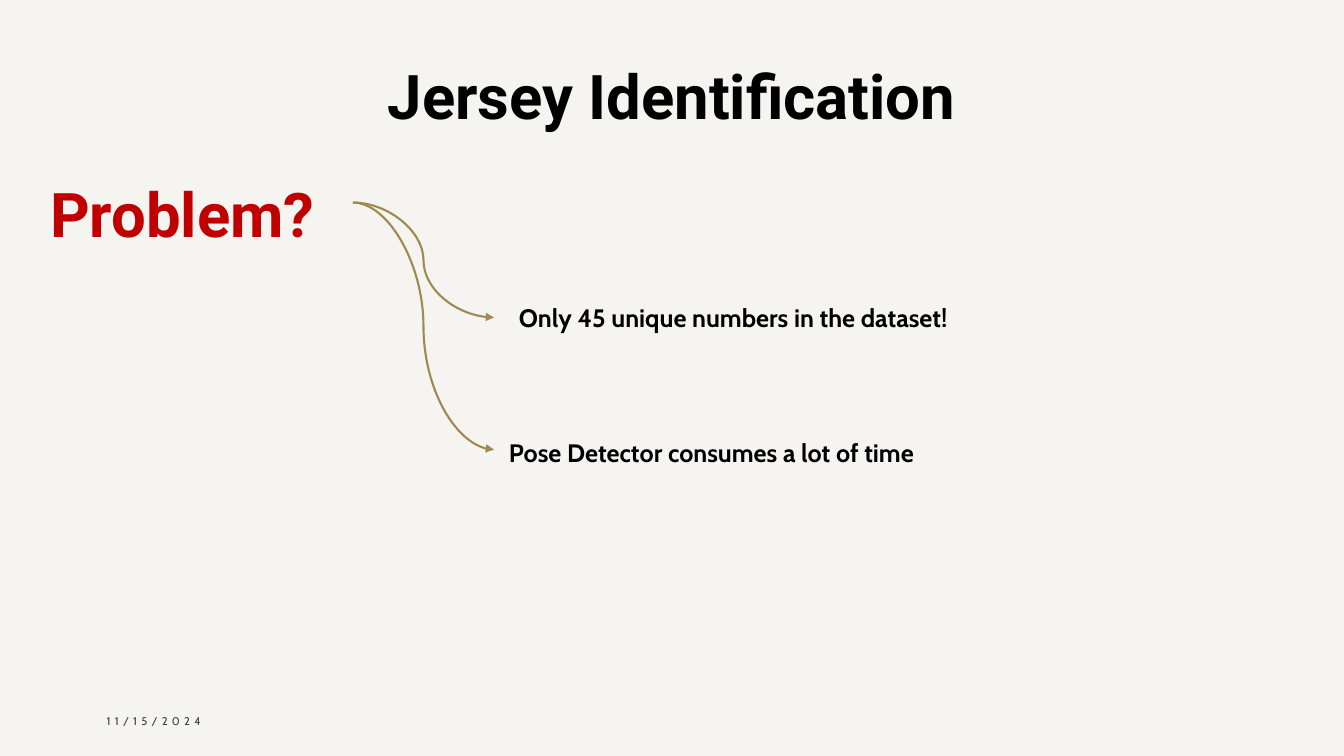
from lxml import etree
from pptx import Presentation
from pptx.dml.color import RGBColor
from pptx.enum.shapes import MSO_CONNECTOR, MSO_SHAPE
from pptx.enum.text import MSO_ANCHOR, PP_ALIGN
from pptx.oxml.ns import qn
from pptx.util import Inches, Pt

CURVE = MSO_CONNECTOR.CURVE
RECT = MSO_SHAPE.RECTANGLE
TOP, MIDDLE, BOTTOM = MSO_ANCHOR.TOP, MSO_ANCHOR.MIDDLE, MSO_ANCHOR.BOTTOM
LEFT, CENTER = PP_ALIGN.LEFT, PP_ALIGN.CENTER

WIDTH, HEIGHT = Inches(13.33), Inches(7.5)
COLS = ROWS = 100

HEAD = {"name": "Roboto", "size": Pt(44), "bold": True}
POINT = {"name": "Cabin", "size": Pt(18), "bold": True}
DATE = {"name": "Cabin", "size": Pt(8), "bold": False}


def color(code):
    return RGBColor.from_string(code)


def grid(col, row):
    return round(WIDTH * col / COLS), round(HEIGHT * row / ROWS)


def add_tint(slide, code, share):
    tint = slide.shapes.add_shape(RECT, 0, 0, WIDTH, HEIGHT)
    tint.shadow.inherit = False
    tint.line.fill.background()
    tint.fill.solid()
    tint.fill.fore_color.rgb = color(code)
    fill = tint.fill._xPr.find(qn("a:solidFill"))
    etree.SubElement(fill[0], qn("a:alpha"), val=str(share * 1000))


def add_text(slide, text, place, size, style, code, anchor=TOP, align=LEFT):
    box = slide.shapes.add_textbox(*grid(*place), *grid(*size))
    frame = box.text_frame
    frame.word_wrap = True
    frame.vertical_anchor = anchor
    para = frame.paragraphs[0]
    para.alignment = align
    run = para.add_run()
    run.text = text
    for key, value in style.items():
        setattr(run.font, key, value)
    run.font.color.rgb = color(code)
    return run


def add_curve(slide, start, end, code):
    curve = slide.shapes.add_connector(CURVE, *grid(*start), *grid(*end))
    curve.line.color.rgb = color(code)
    curve.line.width = Pt(1.5)
    etree.SubElement(curve.line._get_or_add_ln(), qn("a:tailEnd"), type="triangle")
    etree.SubElement(curve._element.spPr, qn("a:effectLst"))


def main():
    deck = Presentation()
    deck.slide_width, deck.slide_height = WIDTH, HEIGHT
    slide = deck.slides.add_slide(deck.slide_layouts[6])

    add_tint(slide, "C0B7A5", 15)
    add_text(slide, "Jersey Identification", (0, 0), (100, 18.13),
             HEAD, "000000", BOTTOM, CENTER)
    date = add_text(slide, "11/15/2024", (7.2, 92.67), (22.5, 5.33),
                    DATE, "35403A", MIDDLE)
    date.font._element.set("spc", "300")
    add_text(slide, "Problem?", (3, 22.67), (24.83, 11.2), HEAD, "C00000")

    points = [
        ("Only 45 unique numbers in the dataset!", (37.88, 39.33), 40.44, 42),
        ("Pose Detector consumes a lot of time", (37.13, 57.2), 36.53, 59.47),
    ]
    for text, place, width, tip in points:
        add_curve(slide, (26.26, 26.8), (36.76, tip), "9E8B50")
        add_text(slide, text, place, (width, 5.33), POINT, "000000")

    deck.save("out.pptx")


if __name__ == "__main__":
    main()
